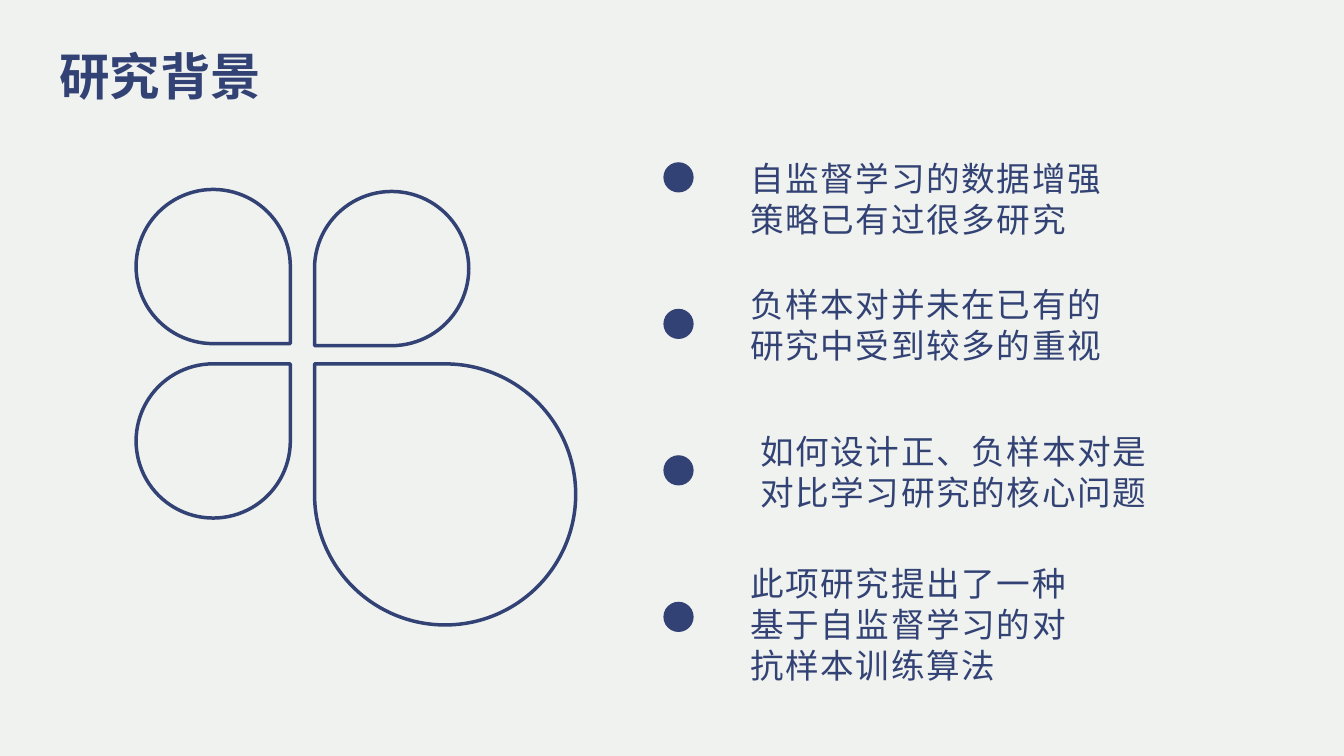
from lxml import etree
from pptx import Presentation
from pptx import util as u
from pptx.dml.color import RGBColor
from pptx.enum import shapes, text
from pptx.oxml.ns import qn

FONT = "Noto Sans CJK SC"
NAVY = "324274"
PAPER = "F0F2EF"


def color(value):
    """Turn a hex string into a colour."""
    return RGBColor.from_string(value)


def write(shape, words, size, leading, bold=False, spacing=0):
    """Put one left-aligned paragraph of styled text in a shape."""
    frame = shape.text_frame
    frame.text = words
    frame.word_wrap = True
    frame.auto_size = text.MSO_AUTO_SIZE.NONE
    frame.vertical_anchor = text.MSO_ANCHOR.TOP
    paragraph = frame.paragraphs[0]
    paragraph.alignment = text.PP_ALIGN.LEFT
    paragraph.line_spacing = u.Pt(leading)
    font = paragraph.runs[0].font
    font.name, font.size, font.bold = FONT, u.Pt(size), bold
    font.color.rgb = color(NAVY)
    properties = paragraph.runs[0]._r.get_or_add_rPr()
    etree.SubElement(properties, qn("a:ea"), typeface=FONT)
    if spacing:
        properties.set("spc", str(round(spacing * 100)))


def add_title(slide, left, top, width, height, words):
    """Place the slide title in its placeholder."""
    title = slide.shapes.title
    title.left, title.top = u.Inches(left), u.Inches(top)
    title.width, title.height = u.Inches(width), u.Inches(height)
    write(title, words, 36, 44, bold=True)


def add_flower(slide, left, top):
    """Draw four outlined petals whose points meet near the centre."""
    group = slide.shapes.add_group_shape()
    petals = [
        (0, 1.73, 1.53, ""),
        (0, 0, 1.53, "V"),
        (1.77, 0.02, 1.53, "HV"),
        (1.77, 1.73, 2.59, "H"),
    ]
    for across, down, size, flips in petals:
        petal = group.shapes.add_shape(
            shapes.MSO_SHAPE.TEAR, u.Inches(left + across), u.Inches(top + down),
            u.Inches(size), u.Inches(size))
        petal.shadow.inherit = False
        petal.fill.background()
        petal.line.color.rgb = color(NAVY)
        petal.line.width = u.Pt(2.5)
        for axis in flips:
            petal._element.spPr.xfrm.set("flip" + axis, "1")


def add_point(slide, left, top, words, indent, rise, width, height):
    """Place a dot at the given corner and its text beside it."""
    group = slide.shapes.add_group_shape()
    dot = group.shapes.add_shape(
        shapes.MSO_SHAPE.OVAL, u.Inches(left), u.Inches(top),
        u.Inches(0.3), u.Inches(0.3))
    dot.shadow.inherit = False
    dot.fill.solid()
    dot.fill.fore_color.rgb = color(NAVY)
    dot.line.fill.background()
    box = group.shapes.add_textbox(
        u.Inches(left + indent), u.Inches(top - rise),
        u.Inches(width), u.Inches(height))
    write(box, words, 24, 29.3, spacing=1.2)


def add_points(slide, left, top, height):
    """Spread the points evenly down the given height."""
    points = [
        ("自监督学习的数据增强策略已有过很多研究", 0.76, 0.1, 3.99, 0.91),
        ("负样本对并未在已有的研究中受到较多的重视", 0.76, 0.3, 3.91, 0.91),
        ("如何设计正、负样本对是对比学习研究的核心问题", 0.86, 0.3, 4.22, 0.91),
        ("此项研究提出了一种基于自监督学习的对抗样本训练算法", 0.76, 0.44, 3.58, 1.31),
    ]
    step = height / (len(points) - 1)
    for index, point in enumerate(points):
        add_point(slide, left, top + index * step, *point)


def main():
    """Build and save the slide."""
    presentation = Presentation()
    presentation.slide_width = u.Inches(13.33)
    presentation.slide_height = u.Inches(7.5)
    slide = presentation.slides.add_slide(presentation.slide_layouts[5])
    slide.background.fill.solid()
    slide.background.fill.fore_color.rgb = color(PAPER)
    add_title(slide, 0.49, 0.39, 2.88, 0.71, "研究背景")
    add_flower(slide, 1.35, 1.88)
    add_points(slide, 6.58, 1.61, 4.36)
    presentation.save("out.pptx")


if __name__ == "__main__":
    main()
